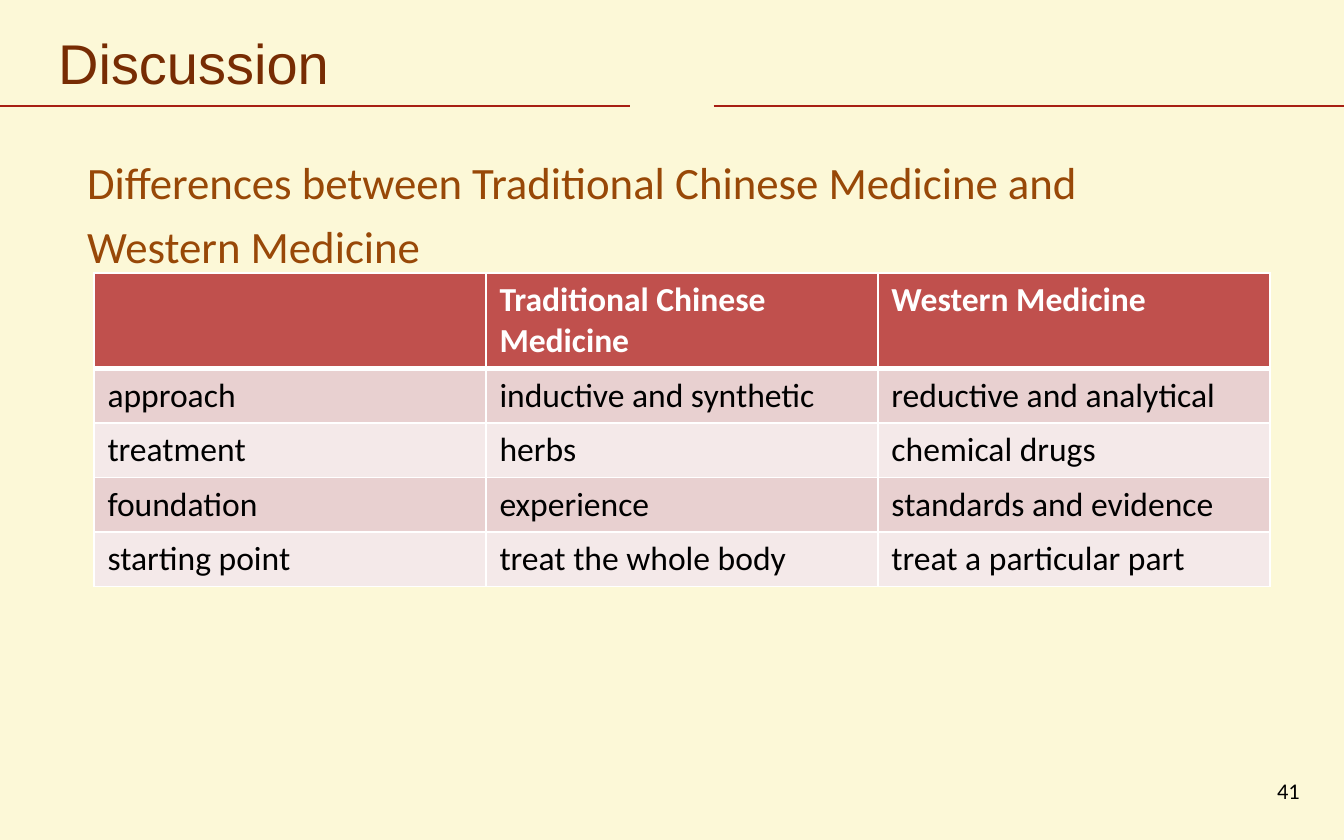
import pptx
import pptx.util
import pptx.dml.color
import pptx.enum.shapes
import pptx.enum.text
import pptx.oxml
import pptx.oxml.ns

Pt = pptx.util.Pt
Align = pptx.enum.text.PP_ALIGN
Anchor = pptx.enum.text.MSO_ANCHOR

deck = pptx.Presentation()
deck.slide_width = pptx.util.Inches(10)
deck.slide_height = pptx.util.Inches(6.25)
wide, high = deck.slide_width, deck.slide_height
page = deck.slides.add_slide(deck.slide_layouts[6])


def color(code):
    return pptx.dml.color.RGBColor.from_string(code)


def write(frame, text, size, font, code, bold=False):
    run = frame.paragraphs[0].add_run()
    run.text = text
    run.font.size = Pt(size)
    run.font.name = font
    run.font.bold = bold
    run.font.color.rgb = color(code)


page.background.fill.solid()
page.background.fill.fore_color.rgb = color("FCF8D7")

for start, end in [(0.531, 1), (0, 0.469)]:
    level = int(high * 0.126)
    rule = page.shapes.add_connector(
        pptx.enum.shapes.MSO_CONNECTOR.STRAIGHT,
        int(wide * start), level, int(wide * end), level)
    rule.line.color.rgb = color("A71F13")
    rule.line.width = Pt(0.75)
    rule._element.spPr.append(pptx.oxml.parse_xml(
        f'<a:effectLst {pptx.oxml.ns.nsdecls("a")}/>'))

rows = [
    ["", "Traditional Chinese Medicine", "Western Medicine"],
    ["approach", "inductive and synthetic", "reductive and analytical"],
    ["treatment", "herbs", "chemical drugs"],
    ["foundation", "experience", "standards and evidence"],
    ["starting point", "treat the whole body", "treat a particular part"],
]
step = int(high * 0.065)
grid = page.shapes.add_table(
    len(rows), 3, int(wide * 0.07), int(high * 0.325),
    int(wide * 0.875), step * len(rows)).table

for i, row in enumerate(rows):
    grid.rows[i].height = step
    for j, text in enumerate(row):
        cell = grid.cell(i, j)
        cell.fill.solid()
        cell.fill.fore_color.rgb = color(
            "C0504D" if i == 0 else ("F4E9E9", "E8D0D0")[i % 2])
        if text:
            write(cell.text_frame, text, 18, "Calibri",
                  "000000" if i else "FFFFFF", i == 0)
        props = cell._tc.get_or_add_tcPr()
        for k, side in enumerate("LRTB"):
            thick = 3 if (i, side) in [(0, "B"), (1, "T")] else 1
            props.insert(k, pptx.oxml.parse_xml(
                f'<a:ln{side} {pptx.oxml.ns.nsdecls("a")} w="{Pt(thick)}">'
                '<a:solidFill><a:srgbClr val="FFFFFF"/></a:solidFill>'
                f'</a:ln{side}>'))

boxes = [
    ("Discussion", -0.063, 0.01, 0.414, 0.112,
     30, "Arial", "772C03", Align.CENTER, Anchor.TOP, 1.2),
    ("Differences between Traditional Chinese Medicine and Western Medicine",
     0.055, 0.163, 0.867, 0.166,
     24, "Calibri", "984807", Align.LEFT, Anchor.TOP, 1.2),
    ("41", 0.744, 0.915, 0.233, 0.053,
     12, "Calibri", "000000", Align.RIGHT, Anchor.MIDDLE, 1),
]
for text, x, y, w, h, size, font, code, align, anchor, space in boxes:
    box = page.shapes.add_textbox(
        int(wide * x), int(high * y), int(wide * w), int(high * h))
    frame = box.text_frame
    frame.word_wrap = True
    frame.vertical_anchor = anchor
    frame.paragraphs[0].alignment = align
    frame.paragraphs[0].line_spacing = space
    write(frame, text, size, font, code)

deck.save("out.pptx")
